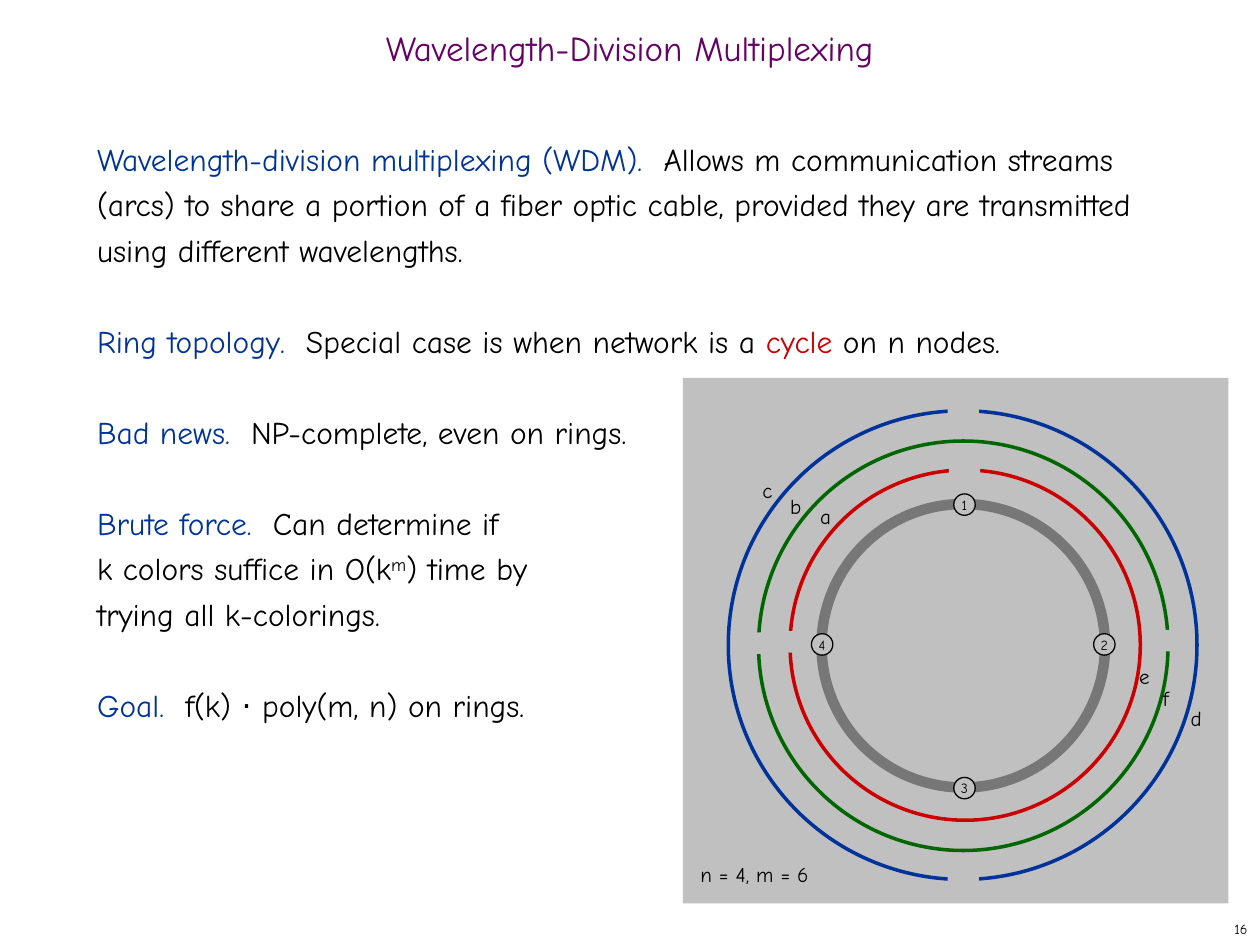
from typing import NamedTuple

from lxml.etree import SubElement
from pptx import Presentation
from pptx.dml.color import RGBColor
from pptx.enum.shapes import MSO_SHAPE as Preset
from pptx.enum.text import MSO_ANCHOR as Anchor, MSO_AUTO_SIZE as AutoSize, PP_ALIGN as Align
from pptx.oxml.ns import qn
from pptx.util import Emu, Pt

EMU_PER_PX = 9144  # 100 px to the inch
FONT = "Comic Neue"
COLORS = {
    "title": "660066", "blue": "003399", "red": "CC0000", "green": "006600",
    "black": "000000", "panel": "C0C0C0", "ring": "777777",
}


class Box(NamedTuple):
    left: int
    top: int
    width: int
    height: int


class Arcs(NamedTuple):
    """One circle of streams, cut into arcs by panel-coloured gaps."""
    color: str
    left: int
    top: int
    diameter: int
    gaps: list[tuple[int, int]]


class Label(NamedTuple):
    text: str
    left: int
    top: int


class Piece(NamedTuple):
    text: str
    color: str = "black"
    superscript: bool = False


BODY = [
    [Piece("Wavelength-division multiplexing (WDM).  ", "blue"),
     Piece("Allows m communication streams (arcs) to share a portion of a fiber optic "
           "cable, provided they are transmitted using different wavelengths.")],
    [Piece("Ring topology. ", "blue"), Piece(" Special case is when network is a "),
     Piece("cycle", "red"), Piece(" on n nodes.")],
    [Piece("Bad news. ", "blue"), Piece(" NP-complete, even on rings.")],
    [Piece("Brute force.  ", "blue"), Piece("Can determine if\nk colors suffice in O(k"),
     Piece("m", superscript=True), Piece(") time by\ntrying all k-colorings.")],
    [Piece("Goal.  ", "blue"), Piece("f(k) ⋅ poly(m, n) on rings.")],
]
NODES = [Label("1", 757, 392), Label("3", 757, 617), Label("2", 868, 503), Label("4", 644, 503)]
STREAMS = [
    Arcs("green", 602, 350, 325, [(591, 502), (913, 500)]),
    Arcs("blue", 578, 326, 372, [(752, 317), (752, 691)]),
    Arcs("red", 627, 373, 278, [(616, 501), (753, 367)]),
]
STREAM_LABELS = [
    Label("a", 646, 400), Label("b", 622, 392), Label("c", 600, 379),
    Label("d", 940, 560), Label("e", 899, 527), Label("f", 918, 544),
]


def px(length: int) -> Emu:
    return Emu(length * EMU_PER_PX)


def rgb(name: str) -> RGBColor:
    return RGBColor.from_string(COLORS[name])


def place(shape, box: Box) -> None:
    shape.left, shape.top, shape.width, shape.height = map(px, box)


def style_font(font, size: int, color: str) -> None:
    font.name, font.size = FONT, Pt(size)
    font.color.rgb = rgb(color)


def write(shape, text: str, size: int, color: str = "black", align=Align.LEFT,
          anchor=Anchor.TOP, wrap: bool = False):
    frame = shape.text_frame
    frame.word_wrap, frame.vertical_anchor = wrap, anchor
    frame.text = text
    paragraph = frame.paragraphs[0]
    paragraph.alignment = align
    style_font(paragraph.font, size, color)
    return paragraph


def add_preset(slide, preset, box: Box, fill: str | None = None,
               line: str | None = None, weight: float = 1):
    shape = slide.shapes.add_shape(preset, *map(px, box))
    shape.shadow.inherit = False
    if fill:
        shape.fill.solid()
        shape.fill.fore_color.rgb = rgb(fill)
    else:
        shape.fill.background()
    if line:
        shape.line.color.rgb = rgb(line)
        shape.line.width = Pt(weight)
    else:
        shape.line.fill.background()
    return shape


def add_label(slide, label: Label) -> None:
    text_box = slide.shapes.add_textbox(*map(px, Box(label.left, label.top, 18, 23)))
    frame = text_box.text_frame
    frame.margin_left = frame.margin_right = px(5)
    frame.margin_top = frame.margin_bottom = 0
    write(text_box, label.text, 12)


def add_streams(slide, arcs: Arcs) -> None:
    circle = Box(arcs.left, arcs.top, arcs.diameter, arcs.diameter)
    add_preset(slide, Preset.OVAL, circle, line=arcs.color, weight=2)
    for left, top in arcs.gaps:
        add_preset(slide, Preset.RECTANGLE, Box(left, top, 25, 17), fill="panel")


def add_piece(paragraph, piece: Piece) -> None:
    for index, line in enumerate(piece.text.split("\n")):
        if index:
            paragraph.add_line_break()
        run = paragraph.add_run()
        run.text = line
        run.font.color.rgb = rgb(piece.color)
        if piece.superscript:
            run.font._element.set("baseline", "30000")


def fill_body(body) -> None:
    frame = body.text_frame
    frame.word_wrap, frame.auto_size = True, AutoSize.NONE
    for index, pieces in enumerate(BODY):
        paragraph = frame.add_paragraph() if index else frame.paragraphs[0]
        paragraph.line_spacing = Pt(26)
        paragraph.space_before, paragraph.space_after = Pt(0), Pt(26)
        # No bullet, no hanging indent
        properties = paragraph._p.get_or_add_pPr()
        properties.set("marL", "0")
        properties.set("indent", "0")
        SubElement(properties, qn("a:buNone"))
        style_font(paragraph.font, 18, "black")
        for piece in pieces:
            add_piece(paragraph, piece)


def main() -> None:
    presentation = Presentation()
    presentation.slide_width, presentation.slide_height = px(1000), px(750)
    slide = presentation.slides.add_slide(presentation.slide_layouts[1])

    # Title and body
    title, body = slide.placeholders
    place(title, Box(0, 17, 1000, 50))
    title.text_frame.auto_size = AutoSize.NONE
    heading = write(title, "Wavelength-Division Multiplexing", 20, "title",
                    Align.CENTER, Anchor.MIDDLE, wrap=True)
    heading.line_spacing = 0.7
    place(body, Box(67, 100, 858, 592))
    fill_body(body)

    # Slide number
    number = slide.shapes.add_textbox(*map(px, Box(792, 725, 208, 25)))
    write(number, "16", 8, align=Align.RIGHT, anchor=Anchor.MIDDLE, wrap=True)

    # Panel with the ring network
    add_preset(slide, Preset.RECTANGLE, Box(542, 300, 433, 417), fill="panel")
    add_preset(slide, Preset.OVAL, Box(652, 400, 225, 225), "panel", "ring", 6)
    for node in NODES:
        circle = add_preset(slide, Preset.OVAL, Box(node.left, node.top, 17, 17),
                            "panel", "black", 0.75)
        write(circle, node.text, 8, align=Align.CENTER, anchor=Anchor.MIDDLE)

    # Communication streams
    for arcs in STREAMS:
        add_streams(slide, arcs)
    for label in STREAM_LABELS:
        add_label(slide, label)
    caption = slide.shapes.add_textbox(*map(px, Box(546, 679, 108, 34)))
    write(caption, "n = 4, m = 6", 12)

    presentation.save("out.pptx")


if __name__ == "__main__":
    main()
